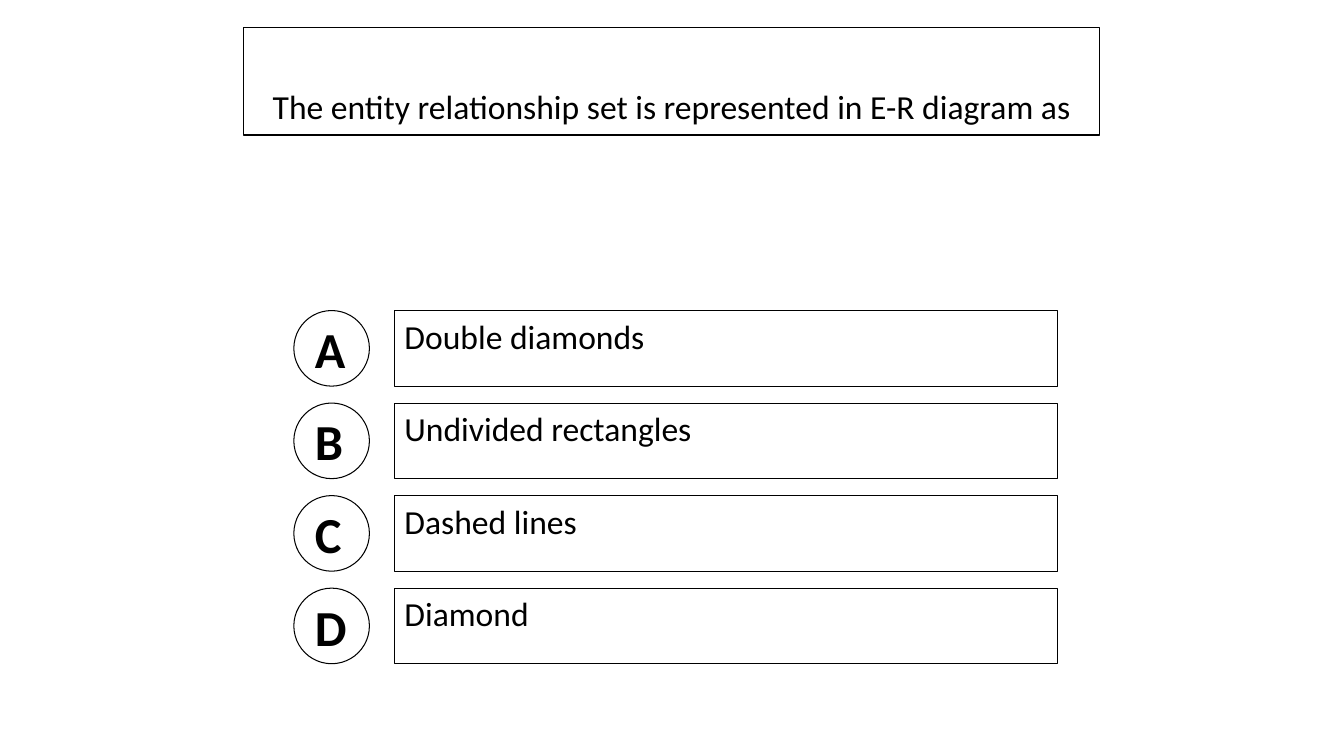
from dataclasses import dataclass

from pptx import Presentation
from pptx.dml.color import RGBColor
from pptx.enum.shapes import MSO_SHAPE as Form
from pptx.enum.text import MSO_ANCHOR as Anchor, PP_ALIGN as Align
from pptx.shapes.autoshape import Shape
from pptx.slide import Slide
from pptx.util import Pt

BLACK, WHITE = "000000", "FFFFFF"
FIRST, PITCH, SIDE = 221.8, 66.1, 54  # answer rows


@dataclass
class Style:
    form: Form
    fill: bool
    font: dict
    frame: dict
    para: dict


@dataclass
class Box:
    text: str
    left: float
    top: float
    width: float
    height: float
    style: Style


def inset(base: float) -> dict:
    return {"margin_left": Pt(7.2), "margin_right": Pt(7.2),
            "margin_top": Pt(3.6), "margin_bottom": Pt(base),
            "word_wrap": True}


PLAIN = {"name": "Calibri", "size": Pt(24), "bold": False}
HEAVY = {"name": "Calibri", "size": Pt(36), "bold": True}
LEFT = {"alignment": Align.LEFT}

TITLE = Style(Form.RECTANGLE, False, PLAIN,
              inset(6) | {"vertical_anchor": Anchor.BOTTOM},
              {"alignment": Align.CENTER, "line_spacing": 0.9})
BADGE = Style(Form.OVAL, False, HEAVY,
              inset(3.6) | {"vertical_anchor": Anchor.MIDDLE}, LEFT)
ANSWER = Style(Form.RECTANGLE, True, PLAIN,
               inset(3.6) | {"vertical_anchor": Anchor.TOP}, LEFT)


def color(code: str) -> RGBColor:
    return RGBColor.from_string(code)


def apply(target: object, values: dict) -> None:
    for name, value in values.items():
        setattr(target, name, value)


def draw(slide: Slide, box: Box) -> Shape:
    style = box.style
    shape = slide.shapes.add_shape(
        style.form, Pt(box.left), Pt(box.top), Pt(box.width), Pt(box.height))
    shape.shadow.inherit = False
    # Fill and outline
    if style.fill:
        shape.fill.solid()
        shape.fill.fore_color.rgb = color(WHITE)
    else:
        shape.fill.background()
    shape.line.color.rgb = color(BLACK)
    shape.line.width = Pt(0.75)
    # Text
    frame = shape.text_frame
    apply(frame, style.frame)
    para = frame.paragraphs[0]
    apply(para, style.para)
    run = para.add_run()
    run.text = box.text
    apply(run.font, style.font)
    run.font.color.rgb = color(BLACK)
    return shape


def main() -> None:
    deck = Presentation()
    deck.slide_width, deck.slide_height = Pt(960.5), Pt(540)
    slide = deck.slides.add_slide(deck.slide_layouts[6])

    # Question
    draw(slide, Box("The entity relationship set is represented in E-R diagram as",
                    174, 19.5, 612, 77, TITLE))

    # Answers
    answers = ("Double diamonds", "Undivided rectangles",
               "Dashed lines", "Diamond")
    for row, (mark, text) in enumerate(zip("ABCD", answers)):
        top = FIRST + row * PITCH
        draw(slide, Box(mark, 210, top, SIDE, SIDE, BADGE))
        draw(slide, Box(text, 282, top, 474, SIDE, ANSWER))

    deck.save("out.pptx")


if __name__ == "__main__":
    main()
